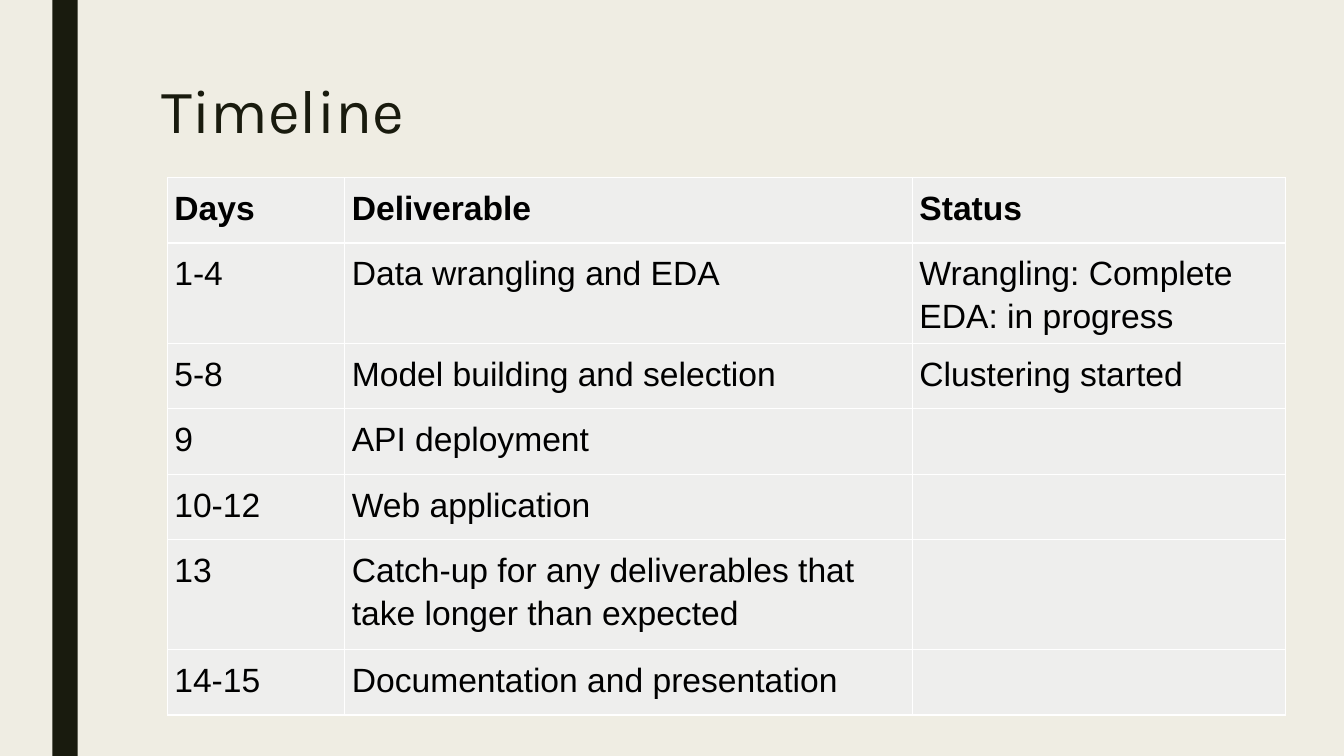
from lxml.etree import SubElement
from pptx import Presentation
from pptx.dml.color import RGBColor
from pptx.enum.shapes import MSO_SHAPE
from pptx.enum.text import MSO_ANCHOR, PP_ALIGN
from pptx.oxml.ns import qn
from pptx.util import Inches, Pt

CREAM = RGBColor(0xEF, 0xED, 0xE3)
OLIVE = RGBColor(0x19, 0x1B, 0x0E)
CELL_GRAY = RGBColor(0xEE, 0xEE, 0xED)
BLACK = RGBColor(0, 0, 0)
WHITE = RGBColor(0xFF, 0xFF, 0xFF)

COLUMNS = (1.76, 5.63, 3.7)
ROW_HEIGHT = 0.65
TALL_ROWS = {5: 1.09}
CELL_MARGIN = Inches(0.07)
TIMELINE = (
    ("Days", "Deliverable", "Status"),
    ("1-4", "Data wrangling and EDA", "Wrangling: Complete\nEDA: in progress"),
    ("5-8", "Model building and selection", "Clustering started"),
    ("9", "API deployment", ""),
    ("10-12", "Web application", ""),
    ("13", "Catch-up for any deliverables that take longer than expected", ""),
    ("14-15", "Documentation and presentation", ""),
)


def write_text(tf, text, font, size, color, bold=False, spacing=1.0):
    tf.text = text
    for p in tf.paragraphs:
        p.alignment = PP_ALIGN.LEFT
        p.line_spacing = spacing
        for r in p.runs:
            r.font.name = font
            r.font.size = Pt(size)
            r.font.bold = bold
            r.font.color.rgb = color


def add_side_bar(slide, left, top, width, height):
    sp = slide.shapes.add_shape(MSO_SHAPE.RECTANGLE, left, top, width, height)
    sp.shadow.inherit = False
    sp.fill.solid()
    sp.fill.fore_color.rgb = OLIVE
    sp.line.fill.background()


def place_title(slide, text, left, top, width, height):
    title = slide.shapes.title
    title.left, title.top, title.width, title.height = left, top, width, height
    tf = title.text_frame
    tf.word_wrap = True
    tf.vertical_anchor = MSO_ANCHOR.TOP
    write_text(tf, text, "Karla", 44, OLIVE, spacing=0.89)


def set_borders(cell, color, width):
    tc_pr = cell._tc.get_or_add_tcPr()
    for i, side in enumerate(("a:lnL", "a:lnR", "a:lnT", "a:lnB")):
        ln = SubElement(tc_pr, qn(side), w=str(Pt(width)))
        fill = SubElement(ln, qn("a:solidFill"))
        SubElement(fill, qn("a:srgbClr"), val=str(color))
        tc_pr.remove(ln)
        tc_pr.insert(i, ln)


def add_timeline_table(slide, rows, left, top):
    heights = [Inches(TALL_ROWS.get(i, ROW_HEIGHT)) for i in range(len(rows))]
    widths = [Inches(w) for w in COLUMNS]
    table = slide.shapes.add_table(len(rows), len(widths), left, top,
                                   sum(widths), sum(heights)).table
    table.first_row = table.horz_banding = False
    for column, width in zip(table.columns, widths):
        column.width = width
    for i, (row, height, texts) in enumerate(zip(table.rows, heights, rows)):
        row.height = height
        for cell, text in zip(row.cells, texts):
            cell.margin_left = cell.margin_right = CELL_MARGIN
            cell.margin_top = cell.margin_bottom = CELL_MARGIN
            cell.fill.solid()
            cell.fill.fore_color.rgb = CELL_GRAY
            set_borders(cell, WHITE, 1)
            if text:
                write_text(cell.text_frame, text, "Arial", 24, BLACK,
                           bold=i == 0, spacing=1.15)


def build_timeline_slide(prs):
    slide = prs.slides.add_slide(prs.slide_layouts[5])
    slide.background.fill.solid()
    slide.background.fill.fore_color.rgb = CREAM
    add_side_bar(slide, Inches(0.52), 0, Inches(0.25), prs.slide_height)
    place_title(slide, "Timeline", Inches(1.5), Inches(0.75),
                Inches(10.5), Inches(1.62))
    add_timeline_table(slide, TIMELINE, Inches(1.66), Inches(1.76))


def main():
    prs = Presentation()
    prs.slide_width, prs.slide_height = Inches(13.33), Inches(7.5)
    build_timeline_slide(prs)
    prs.save("out.pptx")


if __name__ == "__main__":
    main()
